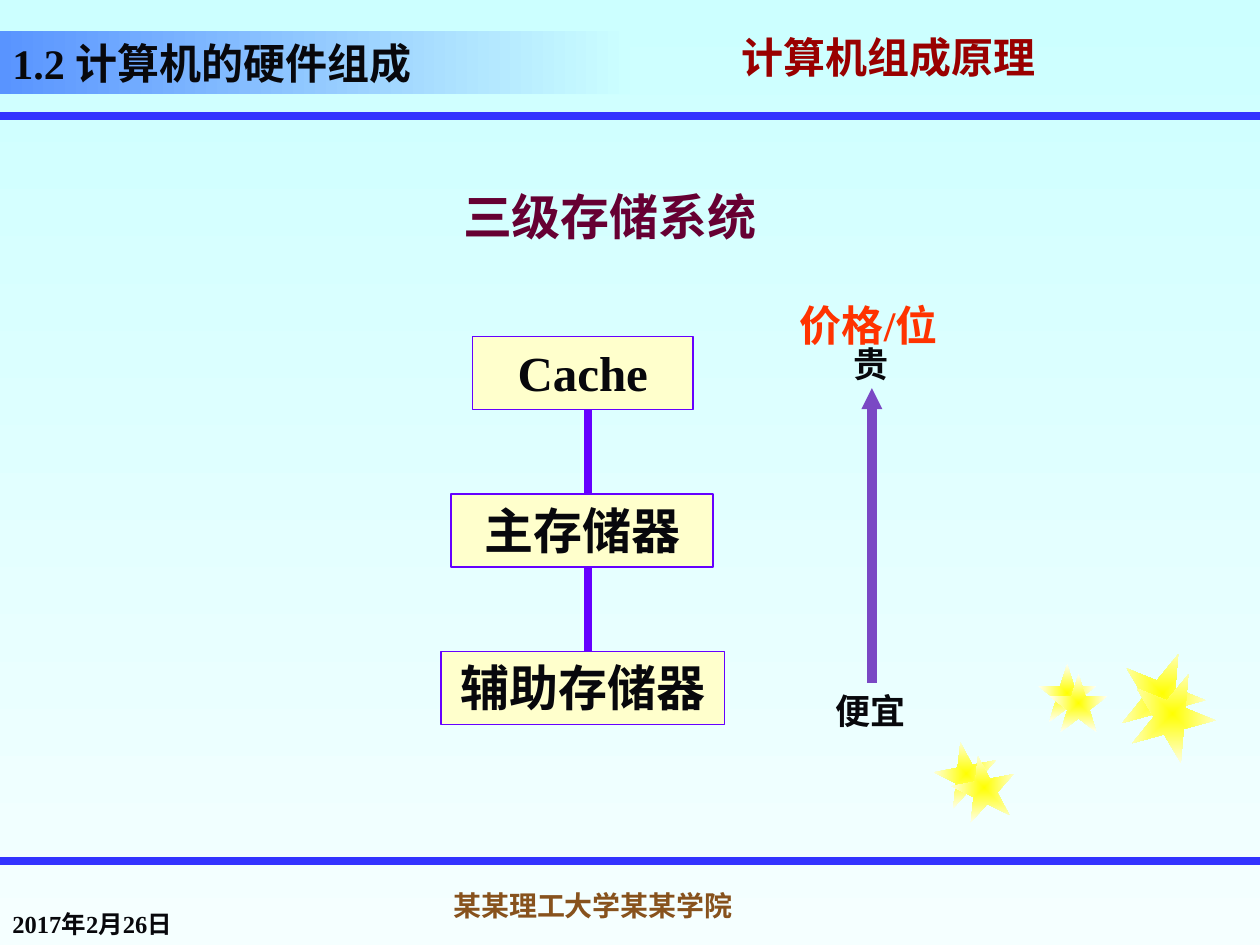
from lxml import etree
from pptx import Presentation, util as u
from pptx.dml.color import RGBColor
from pptx.enum import shapes, text
from pptx.oxml import parse_xml
from pptx.oxml.ns import qn

WIDTH, HEIGHT = 10, 7.5
SERIF, SANS = "Times New Roman", "Noto Sans CJK SC"
COLORS = {
    "ink": "08080C", "rule": "3333FF", "box": "FFFFCC", "link": "6600FF",
    "arrow": "7A48C4", "heading": "660033", "price": "FF3300", "course": "990000",
    "school": "87521D", "sky": "CCFFFF", "pale": "F5FFFF", "title": "5994FF",
    "star": "FFFF00", "star_edge": "FFFFF5",
}
RULES = [0.92, 6.83]
STARS = [
    (0.5, 349, [(7.42, 5.89), (7.56, 6)]),
    (0.46, 0, [(8.24, 5.27), (8.33, 5.35)]),
    (0.67, 22, [(8.89, 5.17), (8.97, 5.33)]),
]
LEVELS = [("Cache", 3.75, 1.75), ("主存储器", 3.58, 2.08), ("辅助存储器", 3.5, 2.25)]
LEVEL_TOP, LEVEL_STEP, LEVEL_HEIGHT = 2.67, 1.25, 0.58
LINK_X = 4.67
LABELS = [
    ("某某理工大学某某学院", (3.5, 6.96, 2.44, 0.41), dict(size=16, color="school", anchor="BOTTOM")),
    ("计算机组成原理", (5.79, 0.25, 4.21, 0.5), dict(size=24, font=SANS, color="course", spacing=0.7, shadow=True)),
    ("2017年2月26日", (0, 7, 2.08, 0.5), dict(size=14, anchor="BOTTOM")),
    ("三级存储系统", (3.35, 1.43, 2.98, 0.57), dict(size=28, font=SANS, color="heading", align="CENTER")),
    ("贵", (6.67, 2.67, 0.48, 0.43), dict(size=20, align="CENTER", wrap=False)),
    ("便宜", (6.53, 5.42, 0.76, 0.43), dict(size=20, align="CENTER", wrap=False)),
    ("价格/位", (6.25, 2.33, 1.5, 0.5), dict(size=24, color="price", anchor="TOP")),
]
TEXT_SHADOW = (
    '<a:effectLst xmlns:a="http://schemas.openxmlformats.org/drawingml/2006/main">'
    '<a:outerShdw dist="38100" dir="2700000"><a:srgbClr val="808080"/></a:outerShdw></a:effectLst>'
)


def rgb(name):
    return RGBColor.from_string(COLORS[name])


def inches(values):
    return [u.Inches(value) for value in values]


def gradient(fill, start, end, angle=0):
    fill.gradient()
    fill.gradient_angle = angle
    for stop, name, position in zip(fill.gradient_stops, (start, end), (0, 1)):
        stop.color.rgb = rgb(name)
        stop.position = position


def write(shape, words, size, font=SERIF, color="ink", align="LEFT",
          anchor="MIDDLE", wrap=True, spacing=None, shadow=False):
    frame = shape.text_frame
    frame.word_wrap = wrap
    frame.vertical_anchor = getattr(text.MSO_ANCHOR, anchor)
    paragraph = frame.paragraphs[0]
    paragraph.alignment = getattr(text.PP_ALIGN, align)
    paragraph.line_spacing = spacing
    run = paragraph.add_run()
    run.text = words
    for name, value in dict(size=u.Pt(size), name=font, bold=True).items():
        setattr(run.font, name, value)
    run.font.color.rgb = rgb(color)
    properties = run.font._element
    if shadow:
        properties.find(qn("a:solidFill")).addnext(parse_xml(TEXT_SHADOW))
    east_asian = etree.Element(qn("a:ea"), typeface=SANS)
    properties.find(qn("a:latin")).addnext(east_asian)


def add_block(kind, box):
    shape = slide.shapes.add_shape(kind, *inches(box))
    shape.shadow.inherit = False
    shape.line.fill.background()
    return shape


def add_line(start, end, color, width, arrow=False):
    line = slide.shapes.add_connector(shapes.MSO_CONNECTOR.STRAIGHT, *inches(start + end))
    line.line.color.rgb = rgb(color)
    line.line.width = u.Pt(width)
    if arrow:
        etree.SubElement(line.line._get_or_add_ln(), qn("a:tailEnd"), type="triangle", w="sm", len="sm")
    etree.SubElement(line._element.spPr, qn("a:effectLst"))


presentation = Presentation()
presentation.slide_width, presentation.slide_height = inches((WIDTH, HEIGHT))
slide = presentation.slides.add_slide(presentation.slide_layouts[6])
gradient(slide.background.fill, "sky", "pale", 270)

for y in RULES:
    add_line((0, y), (WIDTH, y), "rule", 4.5)

for size, rotation, corners in STARS:
    for left, top in corners:
        star = add_block(shapes.MSO_SHAPE.STAR_5_POINT, (left, top, size, size))
        star.rotation = rotation
        gradient(star.fill, "star", "star_edge")
        linear = star._element.spPr.find(qn("a:gradFill")).find(qn("a:lin"))
        radial = etree.Element(qn("a:path"), {"path": "shape"})
        etree.SubElement(radial, qn("a:fillToRect"), {side: "50000" for side in "ltrb"})
        linear.getparent().replace(linear, radial)

title = add_block(shapes.MSO_SHAPE.RECTANGLE, (0, 0.25, WIDTH / 2, 0.5))
gradient(title.fill, "title", "sky")
write(title, "1.2 计算机的硬件组成", 24, anchor="BOTTOM")

for index, (name, left, width) in enumerate(LEVELS):
    top = LEVEL_TOP + index * LEVEL_STEP
    level = add_block(shapes.MSO_SHAPE.RECTANGLE, (left, top, width, LEVEL_HEIGHT))
    level.fill.solid()
    level.fill.fore_color.rgb = rgb("box")
    level.line.color.rgb = rgb("link")
    level.line.width = u.Pt(1)
    write(level, name, 28, align="CENTER", anchor="TOP")

for index in range(len(LEVELS) - 1):
    top = LEVEL_TOP + index * LEVEL_STEP
    add_line((LINK_X, top + LEVEL_HEIGHT), (LINK_X, top + LEVEL_STEP), "link", 4.5)

add_line((6.92, 5.42), (6.92, 3.08), "arrow", 6, arrow=True)

for words, box, style in LABELS:
    write(slide.shapes.add_textbox(*inches(box)), words, **style)

presentation.save("out.pptx")
